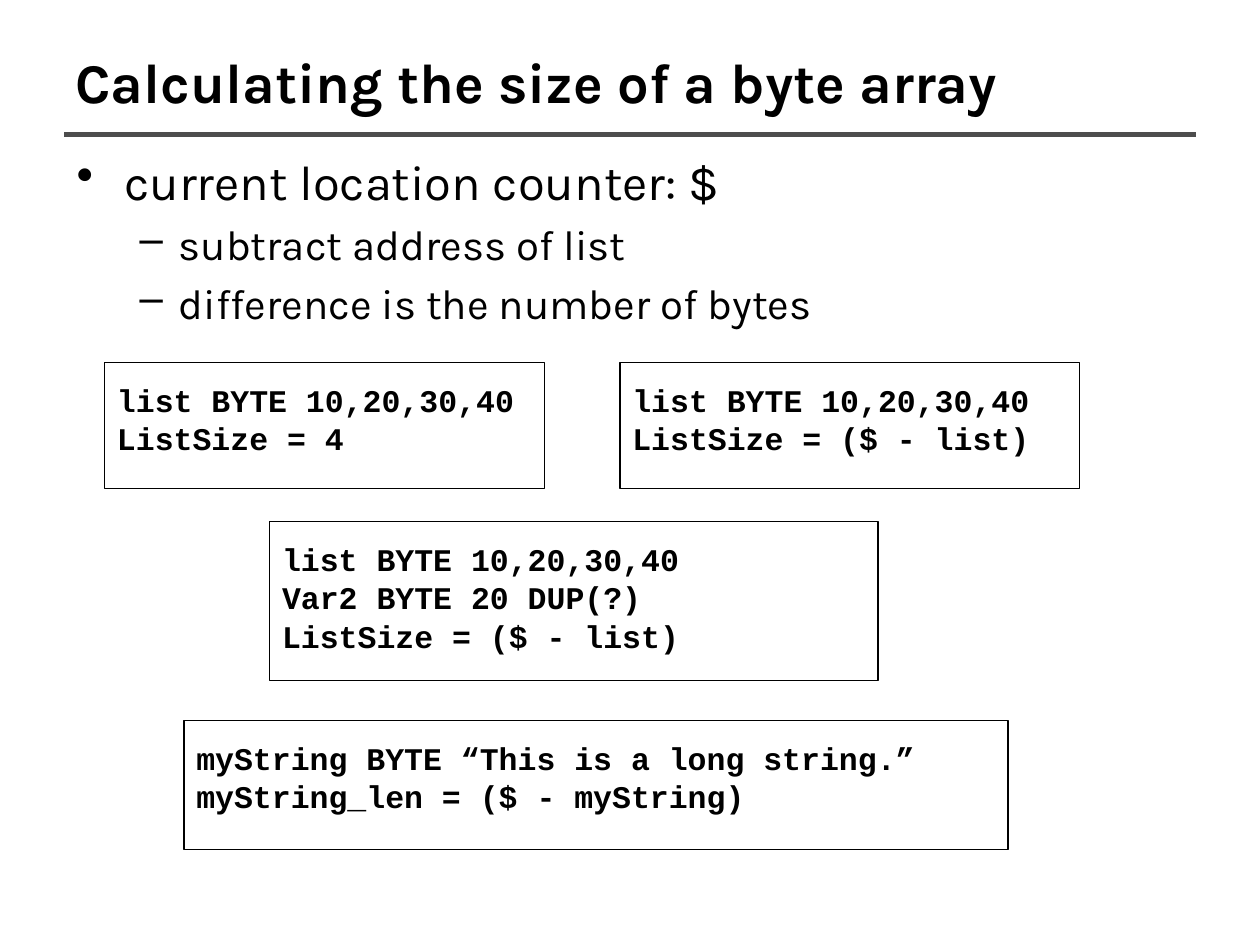
import pptx
import pptx.dml.color
import pptx.enum.shapes
import pptx.enum.text
import pptx.oxml
import pptx.oxml.ns
import pptx.util

WIDTH, HEIGHT = 10, 7.5
MARGIN = 0.51
BLACK, GRAY = "000000", "4D4D4D"

TITLE = "Calculating the size of a byte array"
# level, text
POINTS = [
    (0, "current location counter: $"),
    (1, "subtract address of list"),
    (1, "difference is the number of bytes"),
]
# level: bullet, text indent, hanging indent, size
LEVELS = {0: ("•", 0.38, 0.38, 28), 1: ("–", 0.81, 0.31, 24)}

LIST_LINE = "list BYTE 10,20,30,40"
SIZE_LINE = "ListSize = ($ - list)"
# left, top, width, height, lines
CODE_BOXES = [
    (4.92, 2.88, 3.65, 1, [LIST_LINE, SIZE_LINE]),
    (0.83, 2.88, 3.49, 1, [LIST_LINE, "ListSize = 4"]),
    (2.14, 4.14, 4.83, 1.26, [LIST_LINE, "Var2 BYTE 20 DUP(?)", SIZE_LINE]),
    (1.46, 5.72, 6.54, 1.02, ["myString BYTE “This is a long string.”",
                              "myString_len = ($ - myString)"]),
]

inches = pptx.util.Inches


def color(text):
    return pptx.dml.color.RGBColor.from_string(text)


def add_xml(parent, tag, inner="", **attributes):
    values = "".join(f' {name}="{value}"' for name, value in attributes.items())
    namespace = pptx.oxml.ns.nsdecls("a")
    parent.append(pptx.oxml.parse_xml(f"<a:{tag} {namespace}{values}>{inner}</a:{tag}>"))


def space_before(para, percent):
    """Set the gap above a paragraph as a percentage of its line height."""
    add_xml(para._p.get_or_add_pPr(), "spcBef", f'<a:spcPct val="{percent * 1000}"/>')


def set_font(para, name, size, bold=False):
    para.font.name = name
    para.font.size = pptx.util.Pt(size)
    para.font.bold = bold
    para.font.color.rgb = color(BLACK)


def add_paragraphs(frame, texts):
    """Fill a text frame with one paragraph for each text."""
    frame.word_wrap = True
    frame.text = "\n".join(texts)
    return frame.paragraphs


def add_text_box(page, *place):
    return page.shapes.add_textbox(*map(inches, place)).text_frame


def add_rule(page, y):
    rule = page.shapes.add_connector(
        pptx.enum.shapes.MSO_CONNECTOR.STRAIGHT,
        inches(MARGIN), inches(y), inches(WIDTH - MARGIN), inches(y))
    rule.line.color.rgb = color(GRAY)
    rule.line.width = pptx.util.Pt(3)
    add_xml(rule._element.spPr, "effectLst")


def add_title(page):
    frame = add_text_box(page, 0.5, 0.3, 9, 0.69)
    frame.vertical_anchor = pptx.enum.text.MSO_ANCHOR.MIDDLE
    for para in add_paragraphs(frame, [TITLE]):
        set_font(para, "Karla", 32, bold=True)


def add_points(page):
    frame = add_text_box(page, MARGIN, 1.15, WIDTH - 2 * MARGIN, 1.89)
    paragraphs = add_paragraphs(frame, [text for _, text in POINTS])
    for para, (level, _) in zip(paragraphs, POINTS):
        bullet, indent, hanging, size = LEVELS[level]
        para.level = level
        space_before(para, 20)
        properties = para._p.get_or_add_pPr()
        properties.set("marL", str(inches(indent)))
        properties.set("indent", str(-inches(hanging)))
        add_xml(properties, "buChar", char=bullet)
        set_font(para, "Karla", size)


def add_code_box(page, place, lines):
    box = page.shapes.add_shape(
        pptx.enum.shapes.MSO_SHAPE.RECTANGLE, *map(inches, place))
    box.shadow.inherit = False
    box.fill.background()
    box.line.color.rgb = color(BLACK)
    box.line.width = pptx.util.Pt(0.75)
    frame = box.text_frame
    frame.vertical_anchor = pptx.enum.text.MSO_ANCHOR.TOP
    frame.margin_top = frame.margin_bottom = inches(0.25)
    for para in add_paragraphs(frame, lines):
        para.alignment = pptx.enum.text.PP_ALIGN.LEFT
        para.line_spacing = 0.6
        space_before(para, 50)
        set_font(para, "Courier New", 18, bold=True)


def main():
    deck = pptx.Presentation()
    deck.slide_width, deck.slide_height = inches(WIDTH), inches(HEIGHT)
    page = deck.slides.add_slide(deck.slide_layouts[6])
    add_rule(page, 1.07)
    add_title(page)
    add_points(page)
    for *place, lines in CODE_BOXES:
        add_code_box(page, place, lines)
    deck.save("out.pptx")


if __name__ == "__main__":
    main()
